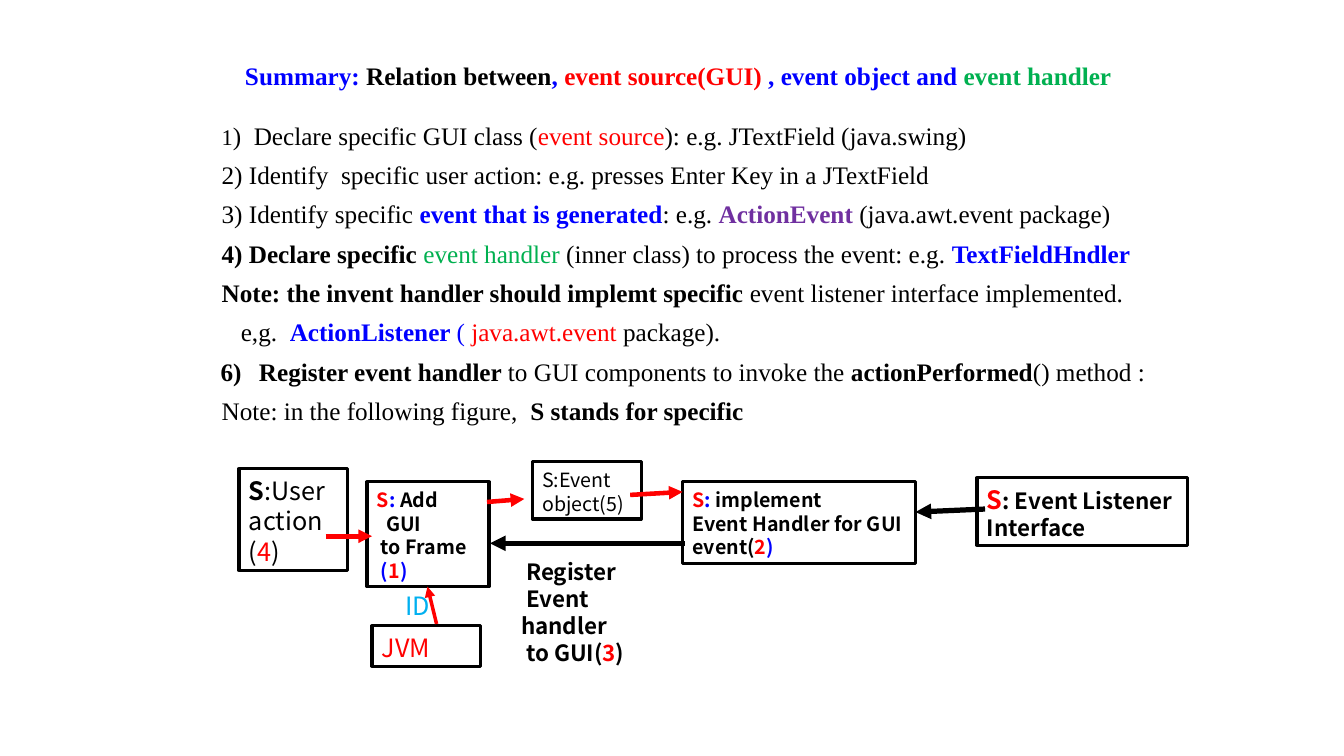
from dataclasses import dataclass

from lxml.etree import SubElement
from pptx import Presentation
from pptx.dml.color import RGBColor
from pptx.enum.shapes import MSO_CONNECTOR as Connector, MSO_SHAPE as Shape
from pptx.enum.text import MSO_ANCHOR as Anchor, MSO_AUTO_SIZE as AutoSize, PP_ALIGN as Align
from pptx.oxml.ns import qn
from pptx.util import Emu, Pt

PX = 9144  # 100 px to the inch
COLORS = {
    "black": "000000", "blue": "0000FF", "red": "FF0000",
    "green": "00B050", "purple": "7030A0", "sky": "00B0F0",
}
SERIF = "Times New Roman"
SANS = "Noto Sans CJK KR"
LINE_RATIO = 1.21  # line height of the diagram labels


@dataclass
class Run:
    text: str
    color: str = "black"
    bold: bool = False
    size: int = 18


@dataclass
class Line:
    runs: list[Run]
    margin: int = 0
    indent: int = 0
    start: int = 0  # first number of an automatic list


@dataclass
class Label:
    box: tuple[int, int, int, int]
    lines: list[Line]
    framed: bool = True


@dataclass
class Arrow:
    start: tuple[int, int]
    end: tuple[int, int]
    color: str = "red"
    width: float = 3.25


def px(value: int) -> Emu:
    return Emu(value * PX)


def rgb(name: str) -> RGBColor:
    return RGBColor.from_string(COLORS[name])


def bold(text: str, color: str = "black", size: int = 18) -> Run:
    return Run(text, color, True, size)


def small(text: str, color: str = "black") -> Run:
    return bold(text, color, 14)


def place(shape, box: tuple[int, int, int, int]) -> None:
    shape.left, shape.top, shape.width, shape.height = map(px, box)


def fill_line(paragraph, line: Line, font_name: str) -> None:
    paragraph.alignment = Align.LEFT
    properties = paragraph._p.get_or_add_pPr()
    properties.set("marL", str(px(line.margin)))
    properties.set("indent", str(px(line.indent)))
    if line.start:
        SubElement(properties, qn("a:buAutoNum"), type="arabicParenR", startAt=str(line.start))
    for item in line.runs:
        run = paragraph.add_run()
        run.text = item.text
        run.font.name = font_name
        run.font.size = Pt(item.size)
        run.font.bold = item.bold
        run.font.color.rgb = rgb(item.color)


def prepare_frame(frame, top_inset: int):
    frame.word_wrap = True
    frame.auto_size = AutoSize.NONE
    frame.vertical_anchor = Anchor.TOP
    frame.margin_left = frame.margin_right = px(10)
    frame.margin_top = px(top_inset)
    frame.margin_bottom = px(5)


def add_paragraphs(frame, lines: list[Line], font_name: str) -> None:
    for number, line in enumerate(lines):
        paragraph = frame.add_paragraph() if number else frame.paragraphs[0]
        fill_line(paragraph, line, font_name)


def add_title(slide) -> None:
    title = slide.shapes.title
    place(title, (215, 60, 933, 49))
    prepare_frame(title.text_frame, 0)
    title.text_frame.margin_left = px(28)
    add_paragraphs(title.text_frame, [TITLE], SERIF)


def add_steps(slide) -> None:
    body = slide.shapes.add_textbox(*map(px, (198, 120, 967, 561)))
    prepare_frame(body.text_frame, 5)
    add_paragraphs(body.text_frame, STEPS, SERIF)
    for number, paragraph in enumerate(body.text_frame.paragraphs):
        paragraph.line_spacing = 0.8
        paragraph.space_before = Pt(10.8 if number else 0)


def add_label(slide, label: Label) -> None:
    box = map(px, label.box)
    if label.framed:
        shape = slide.shapes.add_shape(Shape.RECTANGLE, *box)
        shape.shadow.inherit = False
        shape.fill.background()
        shape.line.color.rgb = rgb("black")
        shape.line.width = Pt(2.25)
    else:
        shape = slide.shapes.add_textbox(*box)
    prepare_frame(shape.text_frame, 6)
    add_paragraphs(shape.text_frame, label.lines, SANS)
    for paragraph, line in zip(shape.text_frame.paragraphs, label.lines):
        paragraph.line_spacing = Pt(LINE_RATIO * max(run.size for run in line.runs))


def add_arrow(slide, arrow: Arrow) -> None:
    connector = slide.shapes.add_connector(
        Connector.STRAIGHT, *map(px, arrow.start + arrow.end))
    connector.line.color.rgb = rgb(arrow.color)
    connector.line.width = Pt(arrow.width)
    SubElement(connector.line._get_or_add_ln(), qn("a:tailEnd"), type="triangle")
    SubElement(connector._element.spPr, qn("a:effectLst"))


TITLE = Line([
    bold("Summary: ", "blue"), bold("Relation between"), bold(", ", "blue"),
    bold("event source(GUI) ", "red"), bold(", event object and ", "blue"),
    bold("event handler", "green"),
])

STEPS = [
    Line([Run("1", size=16), Run(")  Declare specific GUI class ("), Run("event source", "red"),
          Run("): e.g. JTextField (java.swing)")], 12),
    Line([Run("2) Identify  specific user action: e.g. presses Enter Key in a JTextField")], 12),
    Line([Run("3) Identify specific "), bold("event that is generated", "blue"), Run(": e.g. "),
          bold("ActionEvent ", "purple"), Run("(java.awt.event package)")], 12),
    Line([bold("4) Declare specific "), Run("event handler ", "green"),
          Run("(inner class) to process the event: e.g. "), bold("TextFieldHndler", "blue")], 12),
    Line([bold("Note: the invent handler should implemt specific "),
          Run("event listener interface implemented.")], 12),
    Line([Run("e,g.  "), bold("ActionListener ", "blue"), Run("( ", "blue"),
          Run("java.awt.event", "red"), Run(" package).")], 12, 19),
    Line([bold("Register event handler "), Run("to GUI components to invoke the "),
          bold("actionPerformed"), Run("() method :")], 49, -38, start=6),
    Line([Run("Note: in the following figure,  "), bold("S stands for specific")], 12),
]

LABELS = [
    Label((237, 465, 108, 101), [
        Line([bold("S"), Run(":User action")]),
        Line([Run("("), Run("4", "red"), Run(")")])]),
    Label((364, 478, 121, 104), [
        Line([small("S", "red"), small(": ", "blue"), small("Add")]),
        Line([small("GUI")], indent=9),
        Line([small("to Frame")], indent=4),
        Line([small("(", "blue"), small("1", "red"), small(")", "blue")], indent=4)]),
    Label((528, 458, 108, 57), [
        Line([Run("S:Event", size=14)]), Line([Run("object(5)", size=14)])]),
    Label((677, 478, 231, 81), [
        Line([small("S", "red"), small(": ", "blue"), small("implement")]),
        Line([small("Event Handler for GUI event("), small("2", "red"), small(")", "blue")])]),
    Label((969, 474, 209, 67), [
        Line([bold("S", "red"), bold(": Event Listener", size=16)]),
        Line([bold("Interface", size=16)])]),
    Label((507, 547, 175, 91), [
        Line([bold("Register", size=16)], indent=5),
        Line([bold("Event handler", size=16)], indent=5),
        Line([bold("to GUI(", size=16), bold("3", "red", 16), bold(")", size=16)], indent=5),
    ], framed=False),
    Label((369, 621, 108, 40), [Line([Run("JVM", "red")])]),
    Label((392, 579, 46, 40), [Line([Run("ID", "sky")])], framed=False),
]

ARROWS = [
    Arrow((433, 619), (424, 582), width=2.5),
    Arrow((977, 505), (908, 508), "black", 3.75),
    Arrow((679, 539), (486, 539), "black", 3.75),
    Arrow((323, 532), (369, 532)),
    Arrow((483, 498), (520, 495)),
    Arrow((625, 491), (677, 488)),
]


def main() -> None:
    presentation = Presentation()
    presentation.slide_width, presentation.slide_height = px(1333), px(750)
    slide = presentation.slides.add_slide(presentation.slide_layouts[5])

    # Heading and numbered steps
    add_title(slide)
    add_steps(slide)

    # Event flow diagram
    for label in LABELS:
        add_label(slide, label)
    for arrow in ARROWS:
        add_arrow(slide, arrow)

    presentation.save("out.pptx")


if __name__ == "__main__":
    main()
